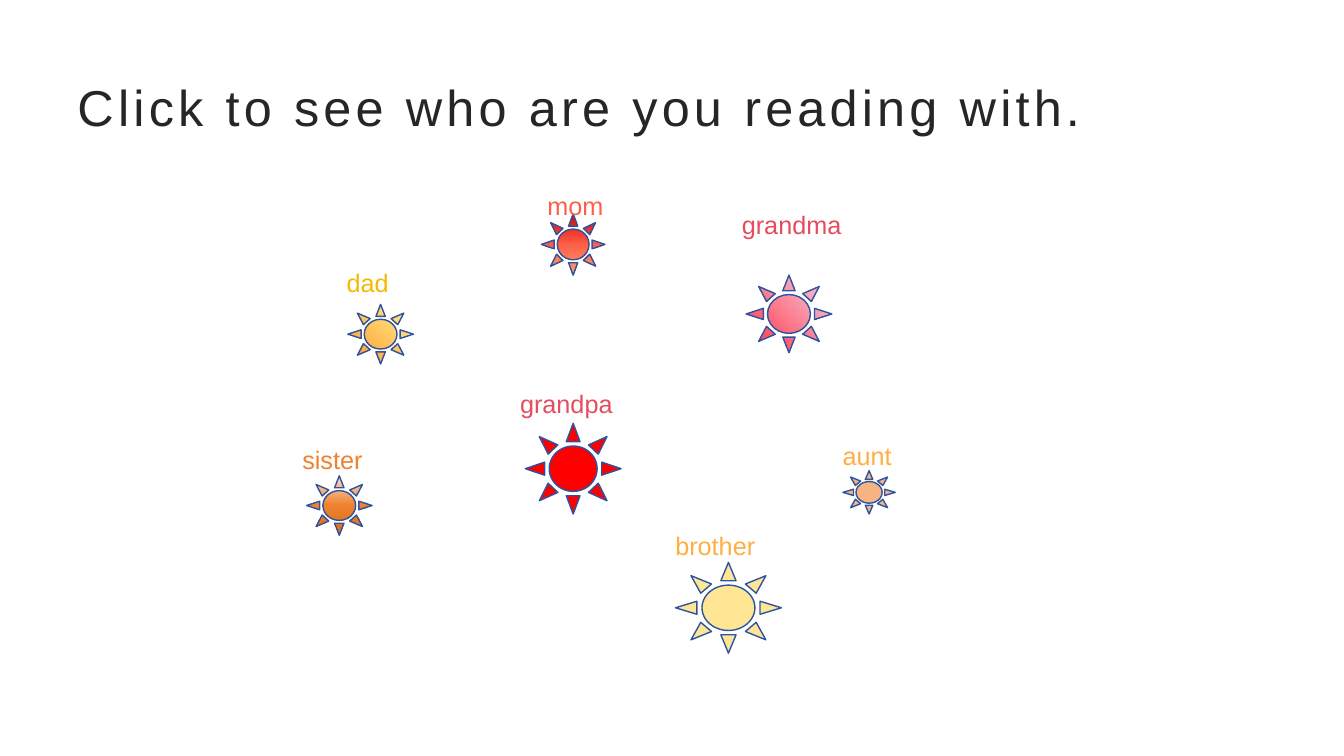
import pptx
import pptx.util
import lxml.etree
from pptx.dml.color import RGBColor
from pptx.enum.shapes import MSO_SHAPE
from pptx.enum.text import MSO_ANCHOR
from pptx.oxml.ns import qn

PX = 9144  # 100 px to the inch
INK = RGBColor(0x26, 0x26, 0x26)
EDGE = RGBColor(0x2E, 0x54, 0xA1)
GOLD = RGBColor(0xF2, 0xBA, 0x02)
RED = RGBColor(0xFF, 0x00, 0x00)
CREAM = RGBColor(0xFE, 0xE6, 0x95)
PEACH = RGBColor(0xF5, 0xB4, 0x82)
ROSE = RGBColor(0xE5, 0x4C, 0x5E)

# Gradients: clockwise angle, then stops of (percent, colour)
AMBER = (315, [(0, RGBColor(0xFF, 0x6B, 0x2E)), (25, RGBColor(0xFF, 0xAE, 0x41)),
               (75, RGBColor(0xFF, 0xDC, 0x7A)), (100, RGBColor(0xFF, 0xF6, 0xB6))])
RUST = (90, [(0, RGBColor(0xFB, 0xE0, 0xCB)), (50, RGBColor(0xEE, 0x82, 0x2F)),
             (100, RGBColor(0xE0, 0x6C, 0x12))])
PINK = (315, [(0, RGBColor(0xEB, 0x3A, 0x48)), (25, RGBColor(0xFF, 0x56, 0x6A)),
              (75, RGBColor(0xF6, 0xAA, 0xBA)), (100, RGBColor(0xFF, 0xCF, 0xD9))])
FLAME = (90, [(0, RGBColor(0xDF, 0x03, 0x03)), (51, RGBColor(0xFE, 0x5F, 0x4A)),
              (100, RGBColor(0xFE, 0xA0, 0x6E))])
BLUSH = (90, [(0, RGBColor(0xF8, 0xD2, 0xD7)), (50, ROSE),
              (100, RGBColor(0xDF, 0x24, 0x3A))])

# Sun box and fill, then label box and colour
FAMILY = [
    ("dad", (345, 302, 65, 59), AMBER, (334, 260, 110, 42), GOLD),
    ("sister", (304, 472, 65, 59), RUST, (290, 436, 94, 31), RUST),
    ("grandma", (740, 273, 85, 77), PINK, (726, 203, 124, 48), BLUSH),
    ("mom", (537, 212, 63, 61), FLAME, (533, 184, 82, 29), FLAME),
    ("grandpa", (521, 420, 95, 90), RED, (506, 380, 119, 40), ROSE),
    ("brother", (670, 558, 105, 90), CREAM, (660, 521, 114, 37), AMBER),
    ("aunt", (836, 467, 52, 43), PEACH, (826, 432, 97, 35), AMBER),
]


def scale(box):
    return [n * PX for n in box]


def paint(fill, props, tone):
    """Fill with a plain colour or a gradient; props is the XML parent of the fill."""
    if isinstance(tone, RGBColor):
        fill.solid()
        fill.fore_color.rgb = tone
        return
    angle, stops = tone
    fill.gradient()
    fill.gradient_angle = 360 - angle
    row = props.find(qn("a:gradFill")).find(qn("a:gsLst"))
    for old in list(row):
        row.remove(old)
    for part, color in stops:
        stop = lxml.etree.SubElement(row, qn("a:gs"), pos=str(part * 1000))
        lxml.etree.SubElement(stop, qn("a:srgbClr"), val=str(color))


def add_text(slide, text, box, tone, size=18, anchor=MSO_ANCHOR.TOP, gap=0):
    """Add a text box; gap is the letter spacing in points."""
    frame = slide.shapes.add_textbox(*scale(box)).text_frame
    frame.word_wrap = True
    frame.vertical_anchor = anchor
    run = frame.paragraphs[0].add_run()
    run.text = text
    run.font.name = "Arial"
    run.font.size = pptx.util.Pt(size)
    props = run._r.get_or_add_rPr()
    paint(run.font.fill, props, tone)
    if gap:
        props.set("spc", str(gap * 100))


def add_sun(slide, box, tone):
    sun = slide.shapes.add_shape(MSO_SHAPE.SUN, *scale(box))
    sun.shadow.inherit = False
    paint(sun.fill, sun._element.spPr, tone)
    sun.line.color.rgb = EDGE
    sun.line.width = pptx.util.Pt(1)


def main():
    deck = pptx.Presentation()
    deck.slide_width, deck.slide_height = scale((1333, 750))
    slide = deck.slides.add_slide(deck.slide_layouts[6])
    add_text(slide, "Click to see who are you reading with.", (67, 67, 1200, 77),
             INK, size=36, anchor=MSO_ANCHOR.MIDDLE, gap=3)
    for name, spot, glow, place, tone in FAMILY:
        add_sun(slide, spot, glow)
        add_text(slide, name, place, tone)
    deck.save("out.pptx")


if __name__ == "__main__":
    main()
